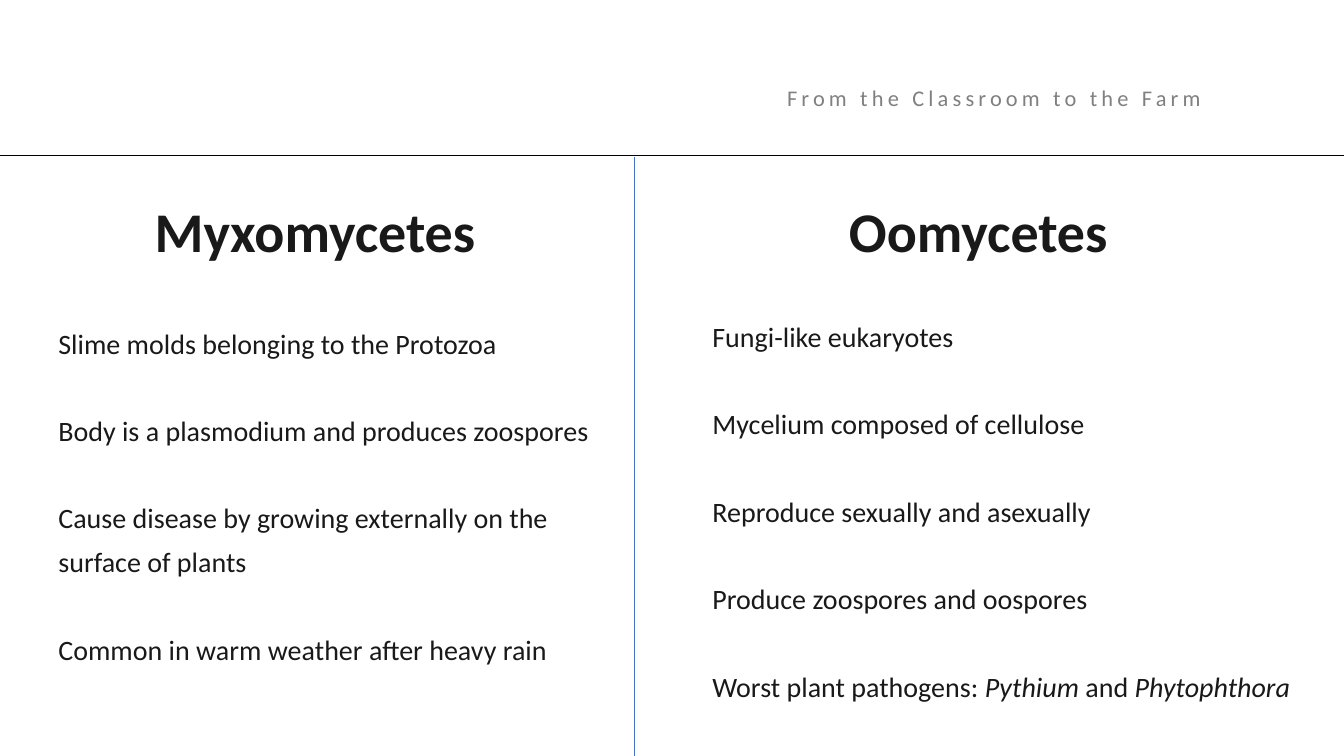
from pptx import Presentation
from pptx.dml.color import RGBColor
from pptx.enum import shapes, text
from pptx.oxml import ns
from pptx.util import Pt
from lxml import etree

COLORS = {"ink": "191919", "tagline": "808080", "rule": "000000", "divider": "4472C4"}
BODY = {"size": Pt(20)}
HEADING = {"size": Pt(40), "bold": True}
ITALIC = {"italic": True}

MYXOMYCETES = [
    [("Slime molds belonging to the Protozoa", {})],
    [("Body is a plasmodium and produces zoospores", {})],
    [("Cause disease by growing externally on the surface of plants", {})],
    [("Common in warm weather after heavy rain", {})],
]
OOMYCETES = [
    [("Fungi-like eukaryotes", {})],
    [("Mycelium composed of cellulose", {})],
    [("Reproduce sexually and asexually", {})],
    [("Produce zoospores and oospores", {})],
    [("Worst plant pathogens: ", {}), ("Pythium", ITALIC),
     (" and ", {}), ("Phytophthora", ITALIC)],
]


def set_all(target, values):
    for name, value in values.items():
        setattr(target, name, value)


def add_text(s, box, paragraphs, font, para, color="ink", top=3.6, indent=0, gap=0, tracking=0):
    sp = s.shapes.add_textbox(*map(Pt, box))
    tf = sp.text_frame
    set_all(tf, {"word_wrap": True, "margin_top": Pt(top)})
    for i, runs in enumerate(paragraphs):
        p = tf.add_paragraph() if i else tf.paragraphs[0]
        set_all(p, para)
        if indent:
            p._p.get_or_add_pPr().set("marL", str(Pt(indent)))
        if i and gap:
            p.space_before = Pt(gap)
        for words, extra in runs:
            r = p.add_run()
            r.text = words
            set_all(r.font, {"name": "Calibri", **font, **extra})
            r.font.color.rgb = RGBColor.from_string(COLORS[color])
            if tracking:
                r._r.get_or_add_rPr().set("spc", str(tracking * 100))


def add_heading(s, left, words):
    add_text(s, (left, 117.4, 382.3, 69.1), [[(words, {})]], HEADING,
             {"alignment": text.PP_ALIGN.CENTER, "line_spacing": 1.4})


def add_points(s, box, points, indent, top=3.6):
    add_text(s, box, points, BODY, {"level": 1, "line_spacing": 1.3},
             top=top, indent=indent, gap=31.25)


def add_line(s, ends, color):
    c = s.shapes.add_connector(shapes.MSO_CONNECTOR.STRAIGHT, *map(Pt, ends))
    c.line.width = Pt(0.5)
    c.line.color.rgb = RGBColor.from_string(COLORS[color])
    etree.SubElement(c._element.spPr, ns.qn("a:effectLst"))


def main():
    prs = Presentation()
    set_all(prs, {"slide_width": Pt(960), "slide_height": Pt(540)})
    s = prs.slides.add_slide(prs.slide_layouts[6])
    add_points(s, (469.4, 217.4, 463, 288), OOMYCETES, 32.4)
    add_heading(s, 507.6, "Oomycetes")
    add_text(s, (555.1, 46.8, 360, 33.1), [[("From the Classroom to the Farm", {})]],
             {"size": Pt(16)}, {"line_spacing": 1.5}, color="tagline", tracking=3)
    add_line(s, (0, 110.9, 960, 110.9), "rule")
    add_line(s, (453.3, 112.3, 453.3, 540), "divider")
    add_heading(s, 33.8, "Myxomycetes")
    add_points(s, (0, 198.7, 442.1, 288), MYXOMYCETES, 34.6, top=27)
    prs.save("out.pptx")


if __name__ == "__main__":
    main()
